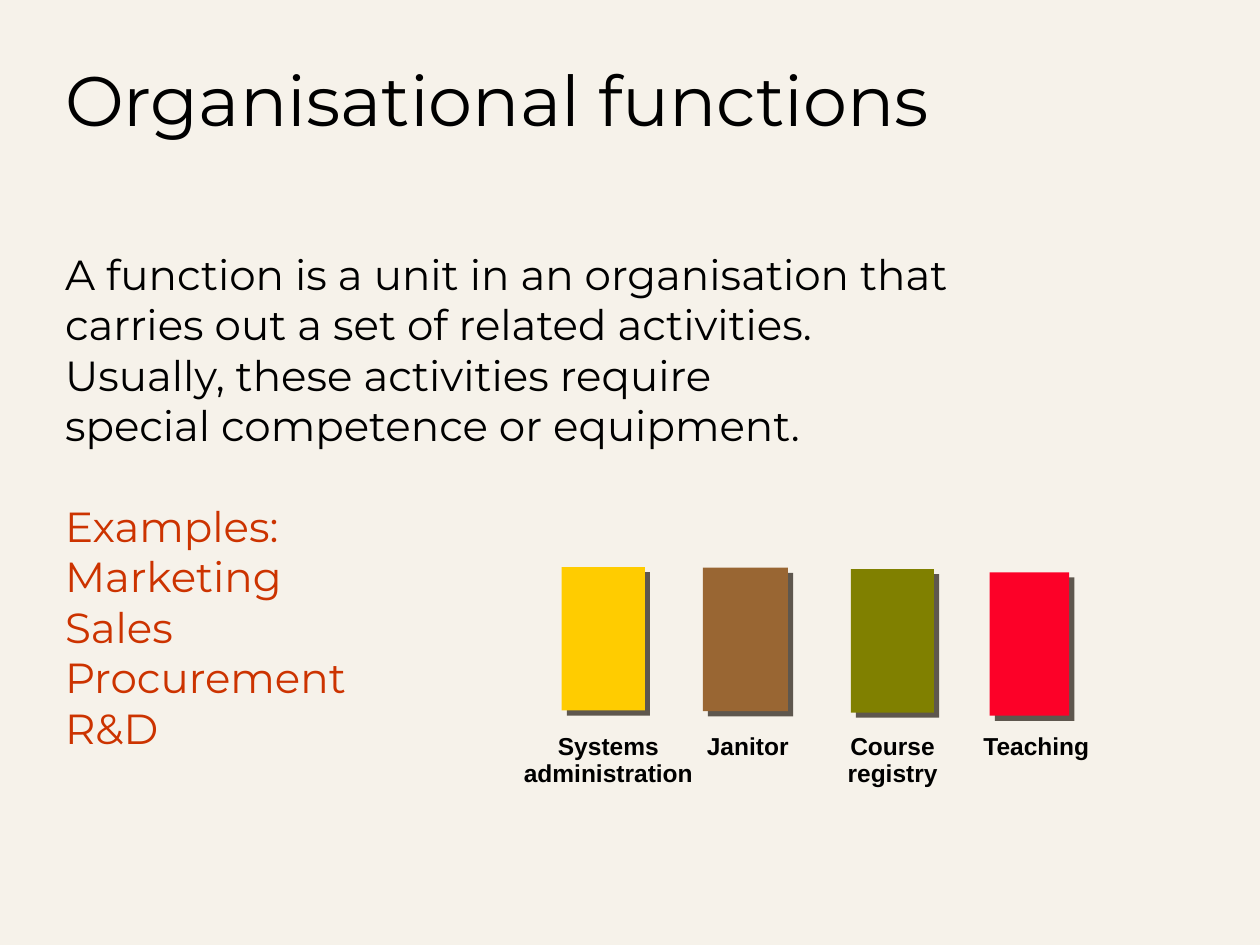
"""Build a slide that explains organisational functions with four coloured units."""
from dataclasses import dataclass
from lxml.etree import SubElement
from pptx import Presentation
from pptx.dml.color import RGBColor as Rgb
from pptx.enum.shapes import MSO_SHAPE as Kind
from pptx.enum.text import MSO_ANCHOR as Anchor, MSO_AUTO_SIZE as Fit, PP_ALIGN as Align
from pptx.oxml.ns import qn
from pptx.util import Pt


@dataclass(frozen=True)
class Theme:
    back: str = "F6F2EA"
    ink: str = "000000"
    accent: str = "CC3300"
    shade: str = "5E574E"
    face: str = "Montserrat"
    label: str = "Arial"
    head: int = 40
    body: int = 24
    small: int = 14


LOOK = Theme()
TITLE = "Organisational functions"
INTRO = [
    "A function is a unit in an organisation that",
    "carries out a set of related activities.",
    "Usually, these activities require",
    "special competence or equipment.",
]
CASES = ["Examples:", "Marketing", "Sales", "Procurement", "R&D"]
UNITS = [
    (["Systems", "administration"], "FFCC00", (321, 324, 47.5), (291.2, 113)),
    (["Janitor"], "996633", (401.6, 324.4, 48.7), (395.8, 63)),
    (["Course", "registry"], "808000", (486.2, 325.2, 47.5), (475.6, 69)),
    (["Teaching"], "FC0128", (565.5, 327, 45.5), (553.2, 78)),
]
TALL, LABEL_TOP, LINE = 82, 416.2, 15.1
GAP = 28.8


def place(item, left, top, width, height):
    item.left, item.top, item.width, item.height = map(Pt, (left, top, width, height))


def style(para, face, size, color, bold=False):
    font = para.font
    font.name, font.size, font.bold = face, Pt(size), bold
    font.color.rgb = Rgb.from_string(color)


def fill(frame, lines):
    frame.text = "\n".join(lines)
    return frame.paragraphs


def add_title(slide):
    box = slide.shapes.title
    place(box, 30, 0, 676, 84.2)
    frame = box.text_frame
    frame.vertical_anchor, frame.auto_size = Anchor.BOTTOM, Fit.NONE
    para = fill(frame, [TITLE])[0]
    para.alignment = Align.LEFT
    style(para, LOOK.face, LOOK.head, LOOK.ink)


def add_body(slide):
    box = slide.placeholders[1]
    place(box, 30, 138.4, 575.3, 324)
    frame = box.text_frame
    frame.auto_size = Fit.NONE
    start = len(INTRO)
    for i, para in enumerate(fill(frame, INTRO + CASES)):
        props = para._p.get_or_add_pPr()
        props.set("marL", "0")
        props.set("indent", "0")
        SubElement(props, qn("a:buNone"))
        para.space_before = Pt(GAP if i == start else 0)
        style(para, LOOK.face, LOOK.body, LOOK.ink if i < start else LOOK.accent)


def add_shade(shape):
    props = shape._element.spPr
    shape.shadow.inherit = False
    effects = props.find(qn("a:effectLst"))
    outer = SubElement(effects, qn("a:outerShdw"), dist=str(Pt(4.2)),
                       dir="2700000", algn="ctr", rotWithShape="0")
    SubElement(outer, qn("a:srgbClr"), val=LOOK.shade)


def add_unit(slide, lines, color, block, span):
    left, top, width = block
    rect = slide.shapes.add_shape(Kind.RECTANGLE, Pt(left), Pt(top), Pt(width), Pt(TALL))
    rect.fill.solid()
    rect.fill.fore_color.rgb = Rgb.from_string(color)
    rect.line.fill.background()
    add_shade(rect)

    start, wide = span
    high = 7.2 + LINE * len(lines)
    box = slide.shapes.add_textbox(Pt(start), Pt(LABEL_TOP), Pt(wide), Pt(high))
    frame = box.text_frame
    frame.word_wrap, frame.auto_size = False, Fit.SHAPE_TO_FIT_TEXT
    for para in fill(frame, lines):
        para.alignment, para.line_spacing = Align.CENTER, 0.9
        style(para, LOOK.label, LOOK.small, LOOK.ink, True)


def main():
    deck = Presentation()
    deck.slide_width, deck.slide_height = Pt(720), Pt(540)
    slide = deck.slides.add_slide(deck.slide_layouts[1])
    paint = slide.background.fill
    paint.solid()
    paint.fore_color.rgb = Rgb.from_string(LOOK.back)
    add_title(slide)
    add_body(slide)
    for unit in UNITS:
        add_unit(slide, *unit)
    deck.save("out.pptx")


if __name__ == "__main__":
    main()
